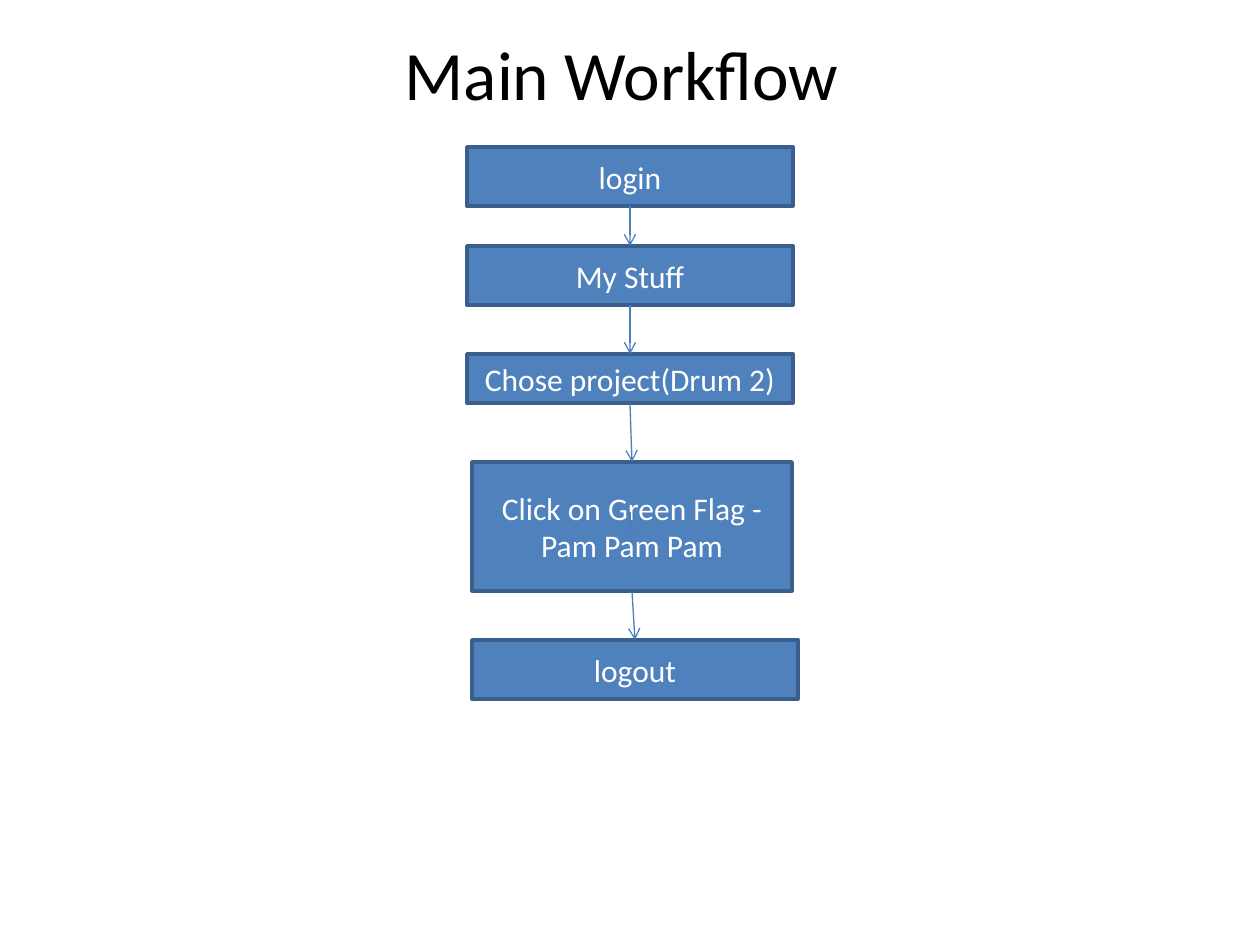
import pptx
import pptx.dml.color
import pptx.enum.shapes
import pptx.enum.text
import pptx.oxml.ns
import pptx.util
from lxml import etree

RGBColor = pptx.dml.color.RGBColor
BLACK = RGBColor(0x00, 0x00, 0x00)
WHITE = RGBColor(0xFF, 0xFF, 0xFF)
BOX_FILL = RGBColor(0x4F, 0x81, 0xBD)
BOX_LINE = RGBColor(0x3A, 0x5F, 0x8C)
ARROW = RGBColor(0x4B, 0x7E, 0xBC)
FONT = "Calibri"
PIXEL = 914400 // 126

TITLE = "Main Workflow "  # the trailing space shifts the centred title
TITLE_BOX = (94, 29, 1071, 88)
# text, left, top, width, height
STEPS = [
    ("login", 467, 147, 326, 59),
    ("My Stuff", 467, 246, 326, 59),
    ("Chose project(Drum 2)", 467, 354, 326, 49),
    ("Click on Green Flag - Pam Pam Pam", 472, 462, 320, 129),
    ("logout", 472, 640, 326, 59),
]
INNER_ARROW = (630, 512, 630, 542)
BOTTOM_SITE, TOP_SITE = 2, 0


def scaled(*pixels):
    """Turn pixel lengths into EMU."""
    return [pixel * PIXEL for pixel in pixels]


def write_text(shape, text, size, color):
    """Put one centred paragraph in the middle of a shape."""
    frame = shape.text_frame
    frame.word_wrap = True
    frame.auto_size = pptx.enum.text.MSO_AUTO_SIZE.NONE
    frame.vertical_anchor = pptx.enum.text.MSO_ANCHOR.MIDDLE
    paragraph = frame.paragraphs[0]
    paragraph.text = text
    paragraph.alignment = pptx.enum.text.PP_ALIGN.CENTER
    paragraph.font.name = FONT
    paragraph.font.size = pptx.util.Pt(size)
    paragraph.font.color.rgb = color


def add_step(slide, text, *box):
    """Draw one workflow step and return its shape."""
    shape = slide.shapes.add_shape(
        pptx.enum.shapes.MSO_SHAPE.RECTANGLE, *scaled(*box))
    shape.shadow.inherit = False
    shape.fill.solid()
    shape.fill.fore_color.rgb = BOX_FILL
    shape.line.color.rgb = BOX_LINE
    shape.line.width = pptx.util.Pt(2)
    write_text(shape, text, 18, WHITE)
    return shape


def add_arrow(slide, *ends):
    """Draw a thin line with an open arrowhead at its end."""
    connector = slide.shapes.add_connector(
        pptx.enum.shapes.MSO_CONNECTOR.STRAIGHT, *scaled(*ends))
    connector.line.color.rgb = ARROW
    connector.line.width = pptx.util.Pt(0.75)
    qn = pptx.oxml.ns.qn
    properties = connector.element.find(qn("p:spPr"))
    etree.SubElement(properties.find(qn("a:ln")), qn("a:tailEnd"), type="arrow")
    etree.SubElement(properties, qn("a:effectLst"))
    return connector


presentation = pptx.Presentation()
presentation.slide_width = pptx.util.Inches(10)
presentation.slide_height = pptx.util.Inches(7.5)
slide = presentation.slides.add_slide(presentation.slide_layouts[0])
subtitle = slide.placeholders[1].element
subtitle.getparent().remove(subtitle)

title = slide.shapes.title
title.left, title.top, title.width, title.height = scaled(*TITLE_BOX)
write_text(title, TITLE, 39.6, BLACK)

steps = [add_step(slide, *step) for step in STEPS]
for upper, lower in zip(steps, steps[1:]):
    arrow = add_arrow(slide, 0, 0, 0, 0)
    arrow.begin_connect(upper, BOTTOM_SITE)
    arrow.end_connect(lower, TOP_SITE)
add_arrow(slide, *INNER_ARROW)

presentation.save("out.pptx")
